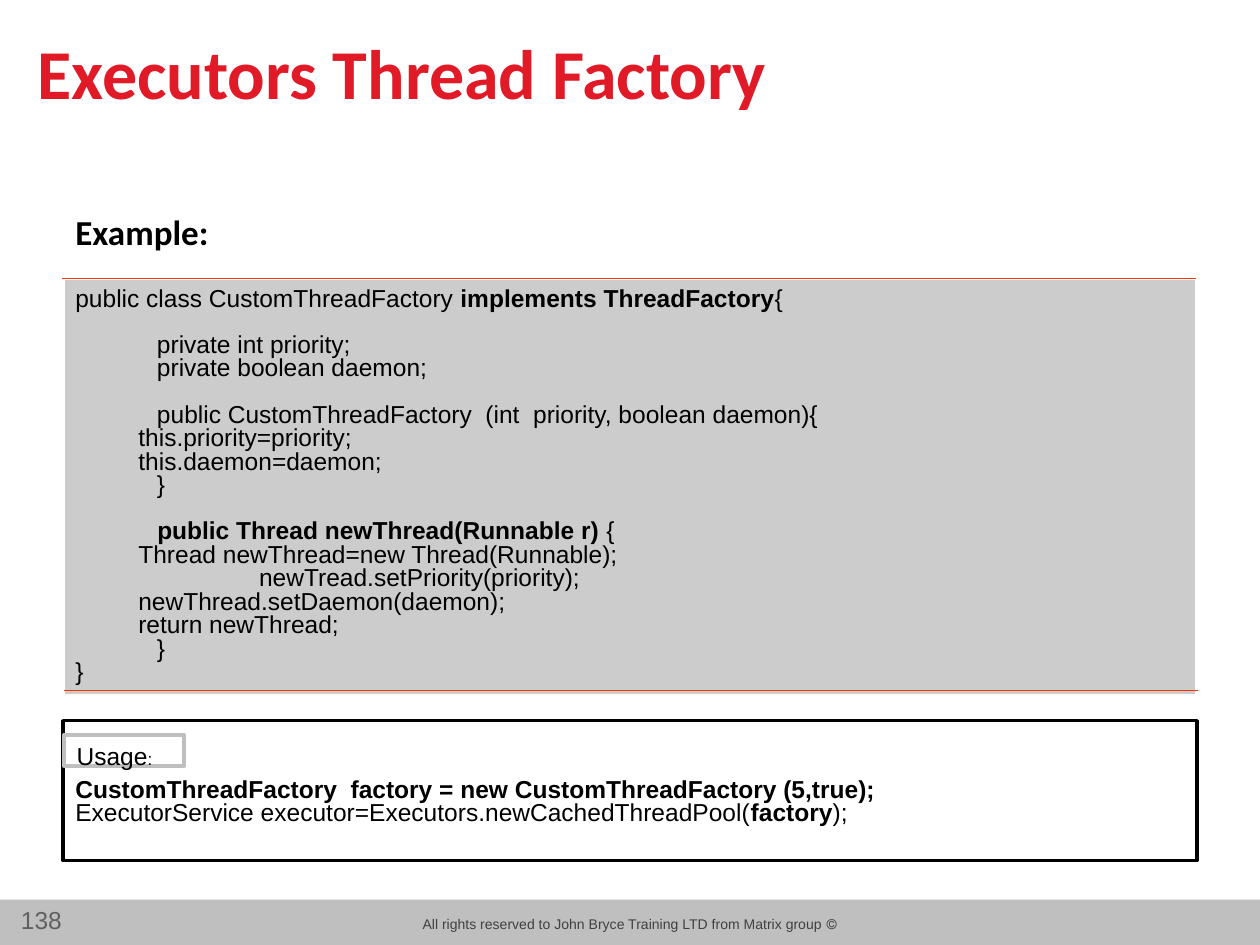
from dataclasses import dataclass
from typing import Optional

from lxml.etree import SubElement
from pptx import Presentation
from pptx.dml.color import RGBColor
from pptx.enum.shapes import MSO_CONNECTOR, MSO_SHAPE
from pptx.enum.text import MSO_ANCHOR, PP_ALIGN
from pptx.oxml.ns import qn
from pptx.util import Inches, Pt

RED = RGBColor(0xE0, 0x1A, 0x26)
ORANGE = RGBColor(0xFF, 0x33, 0x00)
BLACK = RGBColor(0x00, 0x00, 0x00)
WHITE = RGBColor(0xFF, 0xFF, 0xFF)
CODE_GRAY = RGBColor(0xCC, 0xCC, 0xCC)
BAR_GRAY = RGBColor(0xBF, 0xBF, 0xBF)
FOOTER_GRAY = RGBColor(0x40, 0x40, 0x40)
NUMBER_GRAY = RGBColor(0x60, 0x60, 0x60)

COLUMNS, ROWS = 100, 75
SLIDE_WIDTH, SLIDE_HEIGHT = Inches(10), Inches(7.5)
MARGIN, CONTENT_WIDTH = 5, 90
CODE_LINE_SPACING = 0.8
BLANK_LINE = 12.9


@dataclass(frozen=True)
class Area:
    column: float
    row: float
    columns: float
    rows: float

    def box(self) -> tuple:
        return across(self.column), down(self.row), across(self.columns), down(self.rows)


@dataclass(frozen=True)
class Span:
    text: str
    bold: bool = False
    size: Optional[float] = None


@dataclass(frozen=True)
class Line:
    spans: tuple
    gap: float = 0


@dataclass(frozen=True)
class Panel:
    area: Area
    fill: Optional[RGBColor] = None
    outline: Optional[RGBColor] = None
    weight: float = 2


def across(columns: float) -> int:
    return round(SLIDE_WIDTH * columns / COLUMNS)


def down(rows: float) -> int:
    return round(SLIDE_HEIGHT * rows / ROWS)


def code(text: str, gap: float = 0, bold: bool = False) -> Line:
    return Line((Span(text, bold),), gap)


def write(shape, lines, *, size=14, font="Arial", color=BLACK, bold=False,
          align=PP_ALIGN.LEFT, anchor=MSO_ANCHOR.TOP, spacing=None,
          top_inset=0.05, rtl=False) -> None:
    if isinstance(lines, str):
        lines = [code(lines, bold=bold)]
    frame = shape.text_frame
    frame.word_wrap = True
    frame.vertical_anchor = anchor
    frame.margin_top = Inches(top_inset)
    for index, line in enumerate(lines):
        paragraph = frame.add_paragraph() if index else frame.paragraphs[0]
        paragraph.alignment = align
        if spacing:
            paragraph.line_spacing = spacing
        if line.gap:
            paragraph.space_before = Pt(line.gap)
        if rtl:
            paragraph._p.get_or_add_pPr().set("rtl", "1")
        for span in line.spans:
            run = paragraph.add_run()
            run.text = span.text
            run.font.name = font
            run.font.size = Pt(span.size or size)
            run.font.bold = span.bold
            run.font.color.rgb = color


def add_panel(slide, panel: Panel):
    shape = slide.shapes.add_shape(MSO_SHAPE.RECTANGLE, *panel.area.box())
    shape.shadow.inherit = False
    if panel.fill is None:
        shape.fill.background()
    else:
        shape.fill.solid()
        shape.fill.fore_color.rgb = panel.fill
    if panel.outline is None:
        shape.line.fill.background()
    else:
        shape.line.color.rgb = panel.outline
        shape.line.width = Pt(panel.weight)
    return shape


def add_label(slide, area: Area, text: str, **text_format) -> None:
    write(slide.shapes.add_textbox(*area.box()), text, **text_format)


def add_rule(slide, column: float, row: float) -> None:
    rule = slide.shapes.add_connector(
        MSO_CONNECTOR.STRAIGHT, across(column), down(row),
        across(column + CONTENT_WIDTH), down(row))
    rule.line.color.rgb = ORANGE
    rule.line.width = Pt(0.75)
    SubElement(rule._element.spPr, qn("a:effectLst"))


FACTORY_CODE = [
    Line((Span("public class CustomThreadFactory "),
          Span("implements ThreadFactory", True), Span("{"))),
    code("            private int priority;", BLANK_LINE),
    code("            private boolean daemon;"),
    code("            public CustomThreadFactory  (int  priority, boolean daemon){", BLANK_LINE),
    code("\tthis.priority=priority;"),
    code("\tthis.daemon=daemon;"),
    code("            }"),
    Line((Span("            "), Span("public Thread newThread(Runnable r) ", True),
          Span("{")), BLANK_LINE),
    code("\tThread newThread=new Thread(Runnable);"),
    code("                           newTread.setPriority(priority);"),
    code("\tnewThread.setDaemon(daemon);"),
    code("\treturn newThread;"),
    code("            }"),
    code("}"),
]

USAGE_CODE = [
    code("CustomThreadFactory  factory = new CustomThreadFactory (5,true);", bold=True),
    Line((Span("ExecutorService executor=Executors.newCachedThreadPool("),
          Span("factory", True), Span(");"))),
]

USAGE_HEADING = [Line((Span("Usage"), Span(":", size=9.8)))]


def main() -> None:
    deck = Presentation()
    deck.slide_width, deck.slide_height = SLIDE_WIDTH, SLIDE_HEIGHT
    slide = deck.slides.add_slide(deck.slide_layouts[6])

    add_panel(slide, Panel(Area(0, 71.4, COLUMNS, 3.6), BAR_GRAY))
    add_label(slide, Area(31.8, 72.2, 36.4, 2.4),
              "© All rights reserved to John Bryce Training LTD from Matrix group",
              size=8, color=FOOTER_GRAY, align=PP_ALIGN.CENTER, rtl=True)
    add_label(slide, Area(-0.9, 71.3, 6.8, 3.4), "138",
              color=NUMBER_GRAY, align=PP_ALIGN.RIGHT)

    add_label(slide, Area(2, 1.4, 80.3, 8.5), "Executors Thread Factory", size=40,
              font="Calibri", color=RED, bold=True, anchor=MSO_ANCHOR.MIDDLE)
    add_label(slide, Area(MARGIN, 16.2, CONTENT_WIDTH, 5), "Example:", size=20,
              font="Calibri", bold=True)

    listing = add_panel(slide, Panel(Area(MARGIN, 22.1, CONTENT_WIDTH, 33.1), CODE_GRAY, WHITE))
    write(listing, FACTORY_CODE, anchor=MSO_ANCHOR.MIDDLE, spacing=CODE_LINE_SPACING)

    usage = add_panel(slide, Panel(Area(MARGIN, 57.2, CONTENT_WIDTH, 11.1), WHITE, BLACK))
    write(usage, USAGE_CODE, anchor=MSO_ANCHOR.MIDDLE, spacing=CODE_LINE_SPACING,
          top_inset=0.24)

    heading = add_panel(slide, Panel(Area(5.1, 58.3, 9.5, 2.5), None, BAR_GRAY, 2.25))
    write(heading, USAGE_HEADING)

    for column, row in ((4.9, 22.1), (5.1, 54.8)):
        add_rule(slide, column, row)

    deck.save("out.pptx")


if __name__ == "__main__":
    main()
